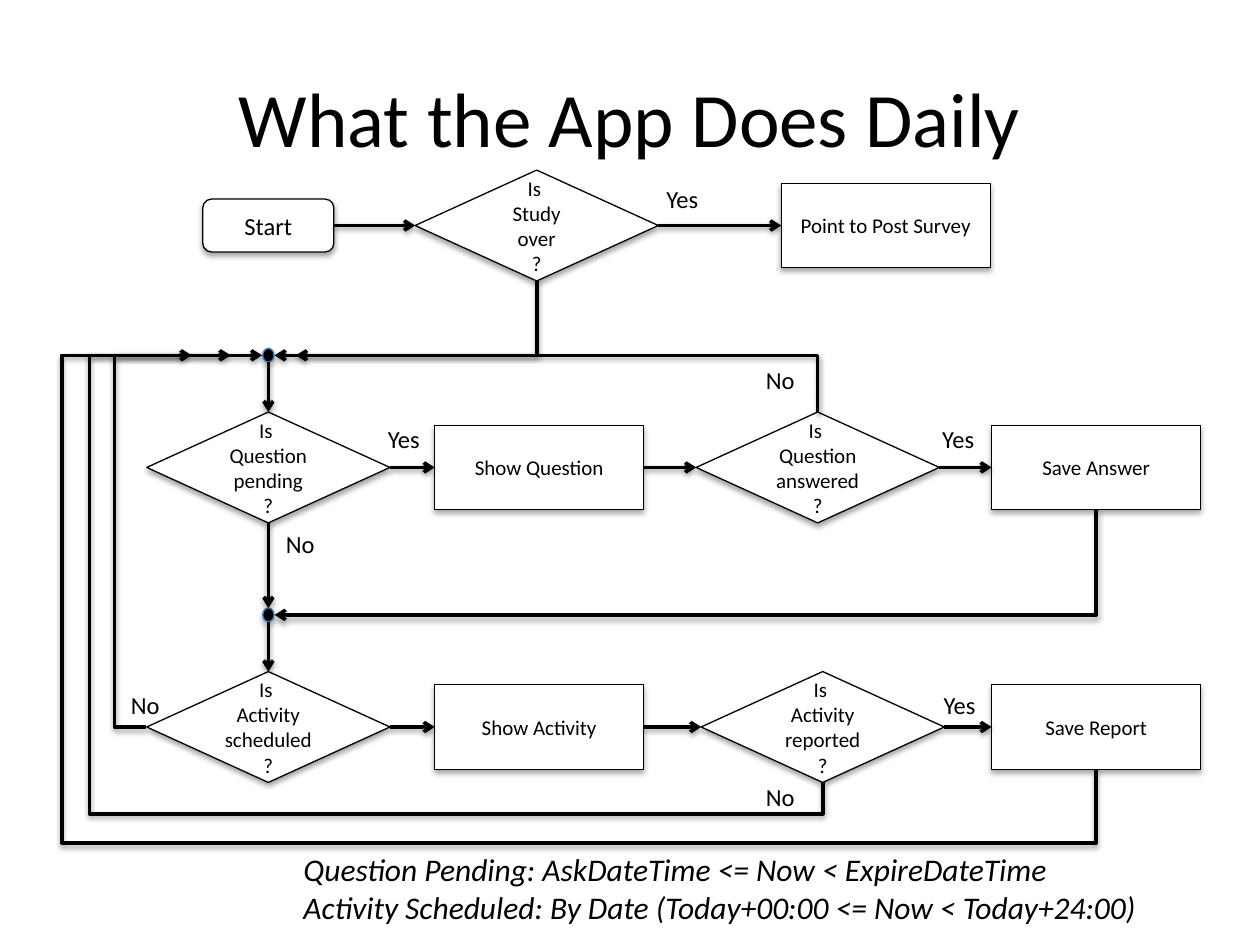
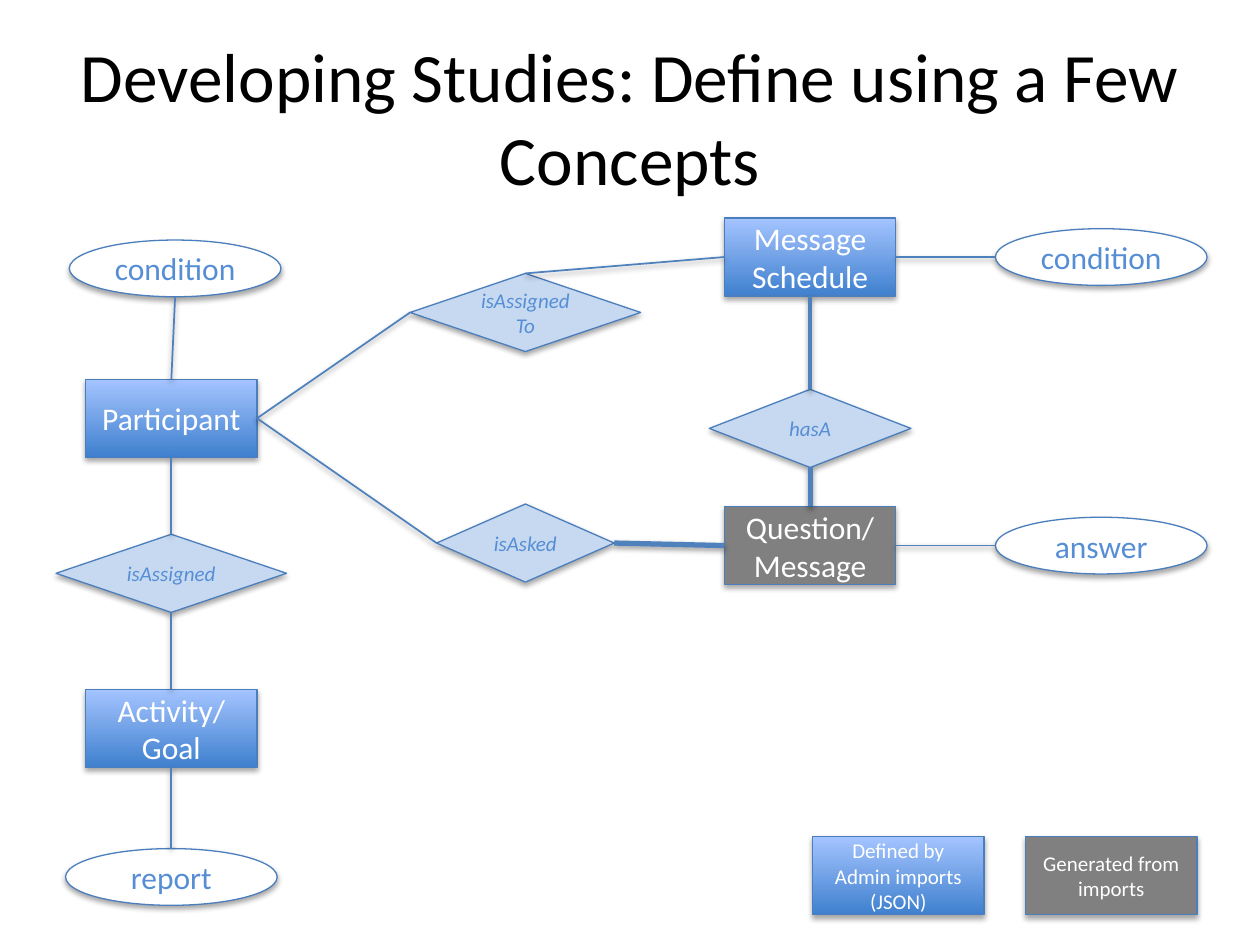
import lxml.etree
import pptx
import pptx.dml.color
import pptx.enum.shapes
import pptx.enum.text
import pptx.oxml.ns
import pptx.util

Inches = pptx.util.Inches
SHAPES = pptx.enum.shapes.MSO_SHAPE
qn = pptx.oxml.ns.qn

FONT = "Calibri"
COLORS = {
    "ink": "000000",
    "paper": "FFFFFF",
    "outline": "4B7EBC",
    "link": "4F81BD",
    "label": "558ED5",
    "relation": "C6D9F1",
    "generated": "808080",
    "defined_bottom": "3F80CE",
    "defined_top": "A4C4FF",
}
TOP, LEFT, BOTTOM, RIGHT = range(4)

DECISION = dict(kind=SHAPES.DIAMOND, size=(1.93, 0.88), fill="paper", outline="ink",
                font_size=12, font_color="ink")
STEP = dict(DECISION, kind=SHAPES.RECTANGLE, size=(1.66, 0.67))
START = dict(DECISION, kind=SHAPES.ROUNDED_RECTANGLE, size=(1.04, 0.42), font_size=14)
JUNCTION = dict(DECISION, kind=SHAPES.OVAL, size=(0.09, 0.11), fill="ink", outline="outline")
DEFINED = dict(kind=SHAPES.RECTANGLE, size=(1.36, 0.62), fill="gradient", outline="outline",
               font_size=18, font_color="paper")
GENERATED = dict(DEFINED, fill="generated")
ATTRIBUTE = dict(DEFINED, kind=SHAPES.OVAL, size=(1.68, 0.45), fill="paper", font_color="label")
RELATION = dict(DEFINED, kind=SHAPES.DIAMOND, fill="relation", font_size=12,
                font_color="label", italic=True)


def rgb(name):
    return pptx.dml.color.RGBColor.from_string(COLORS[name])


def format_text(frame, size, color, italic=False, align=None):
    for para in frame.paragraphs:
        para.alignment = align
        for span in para.runs:
            span.font.name = FONT
            span.font.size = pptx.util.Pt(size)
            span.font.italic = italic
            span.font.color.rgb = rgb(color)


def cast_shadow(shape, opacity, distance):
    properties = shape.element.spPr
    effects = properties.find(qn("a:effectLst"))
    if effects is None:
        effects = lxml.etree.SubElement(properties, qn("a:effectLst"))
    shadow = lxml.etree.SubElement(effects, qn("a:outerShdw"), blurRad="40000",
                                   dist=str(distance), dir="5400000", rotWithShape="0")
    color = lxml.etree.SubElement(shadow, qn("a:srgbClr"), val=COLORS["ink"])
    lxml.etree.SubElement(color, qn("a:alpha"), val=str(opacity * 1000))


def style_line(shape, color, width, arrow):
    shape.line.color.rgb = rgb(color)
    shape.line.width = pptx.util.Pt(width)
    if arrow:
        outline = shape.element.spPr.find(qn("a:ln"))
        lxml.etree.SubElement(outline, qn("a:tailEnd"), type="arrow")
    cast_shadow(shape, 38, 20000)


def add_titled_slide(deck, title, size):
    slide = deck.slides.add_slide(deck.slide_layouts[5])
    box = slide.shapes.title
    box.left, box.top, box.width, box.height = map(Inches, (0.5, 0.3, 9, 1.25))
    frame = box.text_frame
    frame.text = title
    frame.auto_size = pptx.enum.text.MSO_AUTO_SIZE.NONE
    frame.vertical_anchor = pptx.enum.text.MSO_ANCHOR.MIDDLE
    format_text(frame, size, "ink", align=pptx.enum.text.PP_ALIGN.CENTER)
    return slide


def add_node(slide, text, x, y, style, width=None, font_size=None):
    default_width, height = style["size"]
    width = width or default_width
    node = slide.shapes.add_shape(style["kind"], Inches(x - width / 2), Inches(y - height / 2),
                                  Inches(width), Inches(height))
    node.shadow.inherit = False
    if style["fill"] == "gradient":
        node.fill.gradient()
        node.fill.gradient_angle = 90
        for stop, color in zip(node.fill.gradient_stops, ("defined_bottom", "defined_top")):
            stop.color.rgb = rgb(color)
    else:
        node.fill.solid()
        node.fill.fore_color.rgb = rgb(style["fill"])
    node.line.color.rgb = rgb(style["outline"])
    node.line.width = pptx.util.Pt(0.75)
    cast_shadow(node, 35, 23000)
    if text:
        node.text_frame.text = text
        node.text_frame.vertical_anchor = pptx.enum.text.MSO_ANCHOR.MIDDLE
        format_text(node.text_frame, font_size or style["font_size"], style["font_color"],
                    style.get("italic", False), pptx.enum.text.PP_ALIGN.CENTER)
    return node


def side_point(node, side):
    x_share, y_share = ((0.5, 0), (0, 0.5), (0.5, 1), (1, 0.5))[side]
    return int(node.left + node.width * x_share), int(node.top + node.height * y_share)


def join(slide, first, first_side, second, second_side, color="ink", width=2, arrow=True):
    link = slide.shapes.add_connector(pptx.enum.shapes.MSO_CONNECTOR.STRAIGHT,
                                      *side_point(first, first_side),
                                      *side_point(second, second_side))
    if first.auto_shape_type != SHAPES.OVAL:
        link.begin_connect(first, first_side)
    if second.auto_shape_type != SHAPES.OVAL:
        link.end_connect(second, second_side)
    style_line(link, color, width, arrow)


def add_bent_arrow(slide, points):
    start, *corners = [(Inches(x), Inches(y)) for x, y in points]
    builder = slide.shapes.build_freeform(*start)
    builder.add_line_segments(corners, close=False)
    route = builder.convert_to_shape()
    route.shadow.inherit = False
    route.fill.background()
    style_line(route, "ink", 2, True)


def add_note(slide, text, left, top, width, height, size, italic=False):
    box = slide.shapes.add_textbox(*map(Inches, (left, top, width, height)))
    frame = box.text_frame
    frame.text = text
    frame.word_wrap = False
    frame.auto_size = pptx.enum.text.MSO_AUTO_SIZE.SHAPE_TO_FIT_TEXT
    format_text(frame, size, "ink", italic)


def build_daily_flow(deck):
    slide = add_titled_slide(deck, "What the App Does Daily", 44)
    first, second, third, fourth = 2.13, 4.28, 6.49, 8.7
    top_row, question_row, activity_row = 1.79, 3.71, 5.77
    question_entry, activity_entry = 2.82, 4.88
    reported, study = 6.53, 4.26

    start = add_node(slide, "Start", first, top_row, START)
    study_over = add_node(slide, "Is \vStudy\vover\v?", study, top_row, DECISION)
    survey = add_node(slide, "Point to Post Survey", 7.03, top_row, STEP)
    rows = [
        [
            add_node(slide, f"Is \v{condition}\v?", first, y, DECISION),
            add_node(slide, show, second, y, STEP),
            add_node(slide, f"Is \v{outcome}\v?", outcome_x, y, DECISION),
            add_node(slide, save, fourth, y, STEP),
        ]
        for y, condition, show, outcome, outcome_x, save in (
            (question_row, "Question pending", "Show Question",
             "Question answered", third, "Save Answer"),
            (activity_row, "Activity scheduled", "Show Activity",
             "Activity\vreported", reported, "Save Report"),
        )
    ]
    entries = [add_node(slide, "", first, y, JUNCTION)
               for y in (question_entry, activity_entry)]

    for row in [[start, study_over, survey]] + rows:
        for node, following in zip(row, row[1:]):
            join(slide, node, RIGHT, following, LEFT)
    for entry, row in zip(entries, rows):
        join(slide, entry, BOTTOM, row[0], TOP)
    join(slide, rows[0][0], BOTTOM, entries[1], TOP)

    for points in (
        [(1.16, activity_row), (0.91, activity_row), (0.91, question_entry),
         (2.08, question_entry)],
        [(reported, 6.21), (reported, 6.46), (0.71, 6.46), (0.71, question_entry),
         (1.83, question_entry)],
        [(study, 2.23), (study, question_entry), (2.18, question_entry)],
        [(third, 3.27), (third, question_entry), (2.35, question_entry)],
        [(fourth, 4.04), (fourth, activity_entry), (2.18, activity_entry)],
        [(fourth, 6.1), (fourth, 6.69), (0.49, 6.69), (0.49, question_entry),
         (1.52, question_entry)],
    ):
        add_bent_arrow(slide, points)

    for left, top in ((5.19, 1.41), (2.98, 3.32), (7.38, 3.32), (7.39, 5.43)):
        add_note(slide, "Yes", left, top, 0.47, 0.34, 14)
    for left, top in ((2.17, 4.15), (0.94, 5.43), (5.98, 6.16), (5.98, 2.85)):
        add_note(slide, "No", left, top, 0.43, 0.34, 14)
    add_note(slide, "Question Pending: AskDateTime <= Now < ExpireDateTime\n"
             "Activity Scheduled: By Date (Today+00:00 <= Now < Today+24:00)",
             2.31, 6.7, 6.99, 0.71, 18, italic=True)


def build_concepts(deck):
    slide = add_titled_slide(deck, "Developing Studies: Define using a Few Concepts", 39.6)
    people, relations, messages, attributes = 1.36, 4.17, 6.43, 8.74
    schedule_row, question_row = 2.04, 4.33

    participant = add_node(slide, "Participant", people, 3.32, DEFINED)
    activity = add_node(slide, "Activity/\vGoal", people, 5.78, DEFINED)
    schedule = add_node(slide, "Message\vSchedule", messages, schedule_row, DEFINED)
    question = add_node(slide, "Question/\vMessage", messages, question_row, GENERATED)
    report = add_node(slide, "report", people, 6.96, ATTRIBUTE)
    person_condition = add_node(slide, "condition", 1.39, 2.13, ATTRIBUTE)
    schedule_condition = add_node(slide, "condition", attributes, schedule_row, ATTRIBUTE)
    answer = add_node(slide, "answer", attributes, question_row, ATTRIBUTE)
    assigned = add_node(slide, "isAssigned", people, 4.55, RELATION, 1.83)
    assigned_to = add_node(slide, "isAssignedTo", relations, 2.48, RELATION, 1.83)
    asked = add_node(slide, "isAsked", relations, 4.31, RELATION, 1.41)
    has = add_node(slide, "hasA", messages, 3.4, RELATION, 1.6)

    for first, first_side, second, second_side, width in (
        (participant, TOP, person_condition, BOTTOM, 1),
        (participant, BOTTOM, assigned, TOP, 1),
        (assigned, BOTTOM, activity, TOP, 1),
        (activity, BOTTOM, report, TOP, 1),
        (participant, RIGHT, assigned_to, LEFT, 1),
        (assigned_to, TOP, schedule, LEFT, 1),
        (participant, RIGHT, asked, LEFT, 1),
        (asked, RIGHT, question, LEFT, 3),
        (schedule, BOTTOM, has, TOP, 2),
        (has, BOTTOM, question, TOP, 3),
        (schedule, RIGHT, schedule_condition, LEFT, 1),
        (question, RIGHT, answer, LEFT, 1),
    ):
        join(slide, first, first_side, second, second_side, "link", width, arrow=False)

    add_node(slide, "Defined by Admin imports (JSON)", 7.13, 6.95, DEFINED, font_size=12)
    add_node(slide, "Generated from imports", 8.82, 6.95, GENERATED, font_size=12)


def main():
    deck = pptx.Presentation()
    deck.slide_width, deck.slide_height = Inches(10), Inches(7.5)
    build_daily_flow(deck)
    build_concepts(deck)
    deck.save("out.pptx")


if __name__ == "__main__":
    main()
